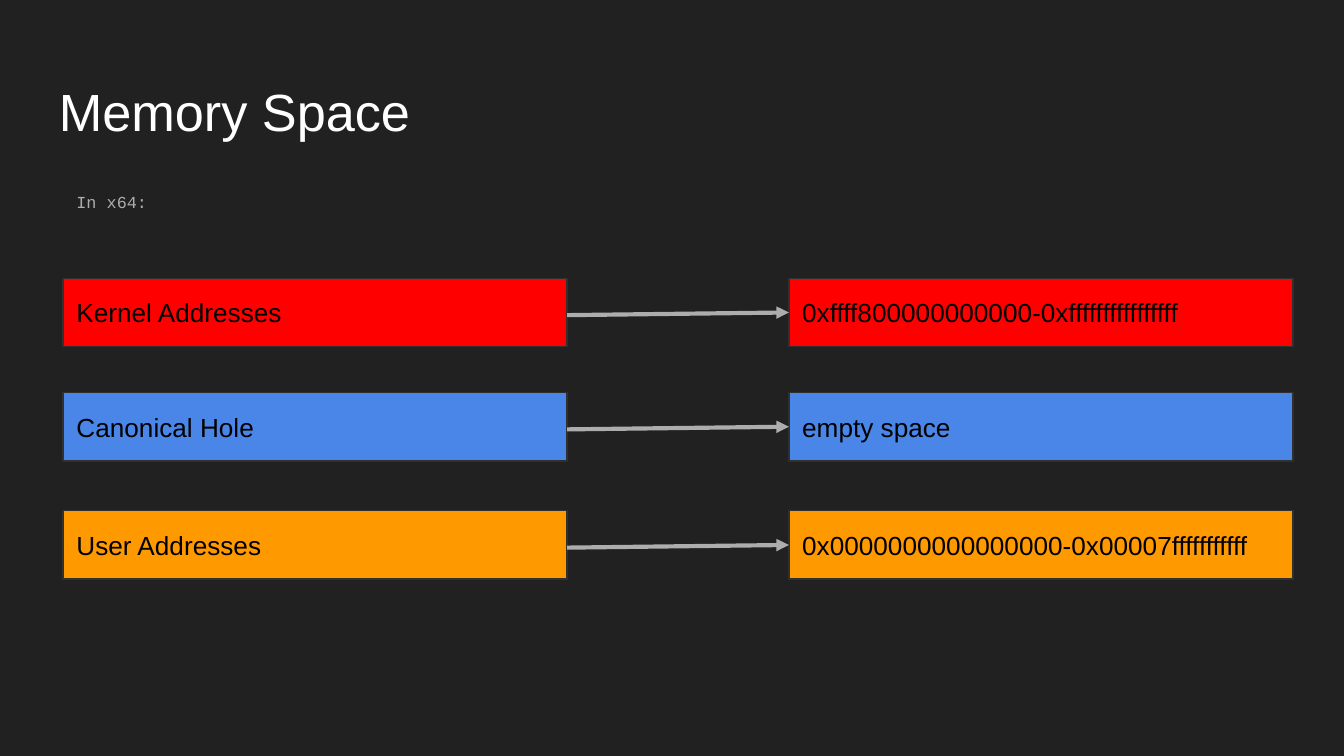
from lxml import etree
from pptx import Presentation
from pptx.dml.color import RGBColor
from pptx.enum.shapes import MSO_CONNECTOR, MSO_SHAPE
from pptx.enum.text import MSO_ANCHOR, PP_ALIGN
from pptx.oxml.ns import qn
from pptx.util import Inches, Pt

RECTANGLE = MSO_SHAPE.RECTANGLE
STRAIGHT = MSO_CONNECTOR.STRAIGHT
TOP, MIDDLE = MSO_ANCHOR.TOP, MSO_ANCHOR.MIDDLE
LEFT = PP_ALIGN.LEFT
LEFT_SIDE = 1

# Content
TITLE = "Memory Space"
ARCHITECTURE = "In x64:"
REGIONS = [  # name, address range, fill, top
    ("Kernel Addresses", "0xffff800000000000-0xffffffffffffffff", "FF0000", 2.07),
    ("Canonical Hole", "empty space", "4A86E8", 2.92),
    ("User Addresses", "0x0000000000000000-0x00007fffffffffff", "FF9900", 3.8),
]

# Layout in inches, on a 16:9 slide
SLIDE_W = 10
SLIDE_H = SLIDE_W * 9 / 16
NAME_X, BAR_W, BAR_H, GAP = 0.47, 3.75, 0.51, 1.65
RANGE_X = NAME_X + BAR_W + GAP
TEXT_W = 9.32
ARROW_RISE = 0.02


def color(hex_string):
    return RGBColor.from_string(hex_string)


def write(shape, text, size, font_color, font="Arial", anchor=TOP):
    frame = shape.text_frame
    frame.word_wrap = True
    frame.vertical_anchor = anchor
    frame.margin_left = frame.margin_right = Inches(0.1)
    frame.margin_top = frame.margin_bottom = Inches(0.1)
    paragraph = frame.paragraphs[0]
    paragraph.text = text
    paragraph.alignment = LEFT
    paragraph.font.size = Pt(size)
    paragraph.font.name = font
    paragraph.font.color.rgb = color(font_color)
    return paragraph


def add_text(left, top, height, *style):
    box = slide.shapes.add_textbox(
        Inches(left), Inches(top), Inches(TEXT_W), Inches(height))
    return write(box, *style)


def add_bar(left, top, text, fill):
    bar = slide.shapes.add_shape(
        RECTANGLE, Inches(left), Inches(top), Inches(BAR_W), Inches(BAR_H))
    bar.shadow.inherit = False
    bar.fill.solid()
    bar.fill.fore_color.rgb = color(fill)
    bar.line.color.rgb = color("303030")
    bar.line.width = Pt(0.75)
    write(bar, text, 14, "000000", anchor=MIDDLE)
    return bar


def add_arrow(top, target):
    middle = top + BAR_H / 2
    arrow = slide.shapes.add_connector(
        STRAIGHT, Inches(NAME_X + BAR_W), Inches(middle + ARROW_RISE),
        Inches(RANGE_X), Inches(middle))
    arrow.end_connect(target, LEFT_SIDE)
    arrow.line.color.rgb = color("ADADAD")
    arrow.line.width = Pt(2.25)
    properties = arrow.line._get_or_add_ln()
    etree.SubElement(properties, qn("a:tailEnd"), type="triangle")
    etree.SubElement(properties.getparent(), qn("a:effectLst"))


prs = Presentation()
prs.slide_width, prs.slide_height = Inches(SLIDE_W), Inches(SLIDE_H)
slide = prs.slides.add_slide(prs.slide_layouts[6])
slide.background.fill.solid()
slide.background.fill.fore_color.rgb = color("212121")

# Heading and introduction
add_text(0.34, 0.49, 0.63, TITLE, 28, "FFFFFF")
intro = add_text(NAME_X, 1.32, 3.74, ARCHITECTURE, 9, "ADADAD", "Courier New")
intro.line_spacing = 1.15
intro.space_before = Pt(1.5)

# One row per memory region
for name, addresses, fill, top in REGIONS:
    add_bar(NAME_X, top, name, fill)
    address_bar = add_bar(RANGE_X, top, addresses, fill)
    add_arrow(top, address_bar)

prs.save("out.pptx")
